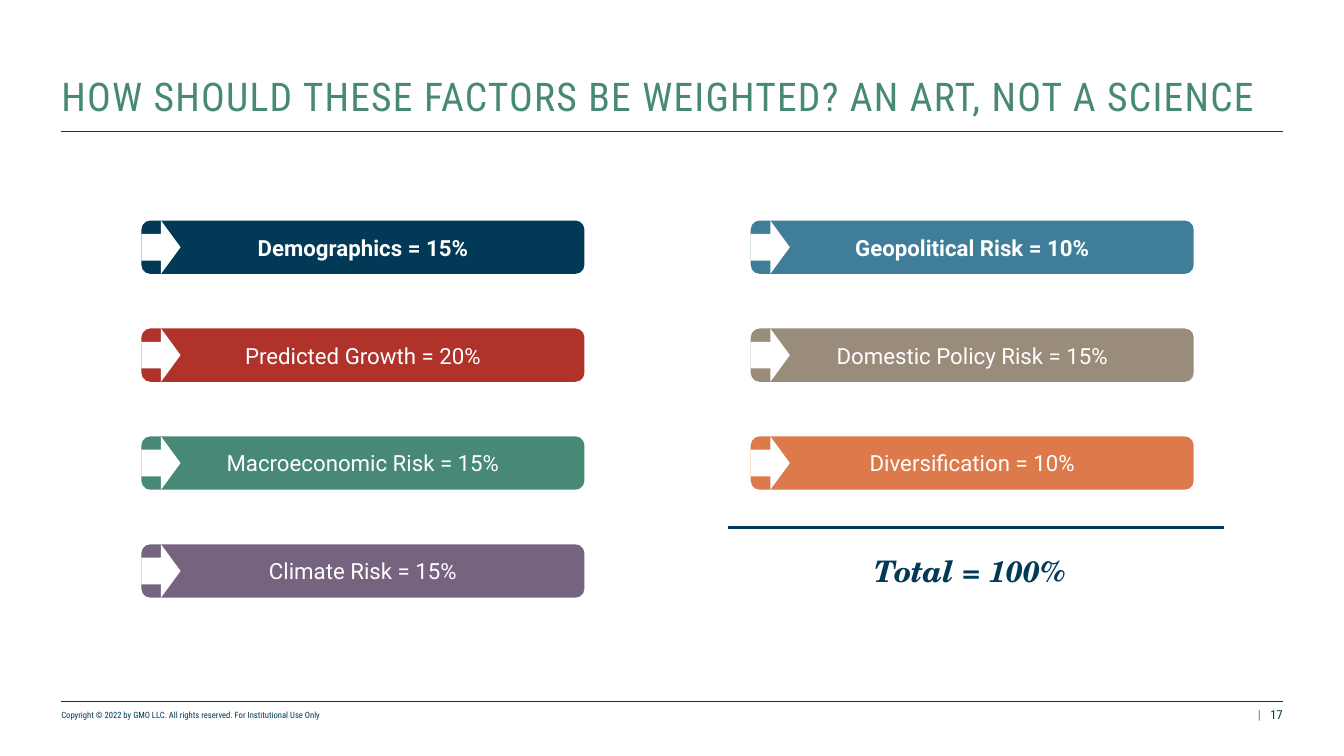
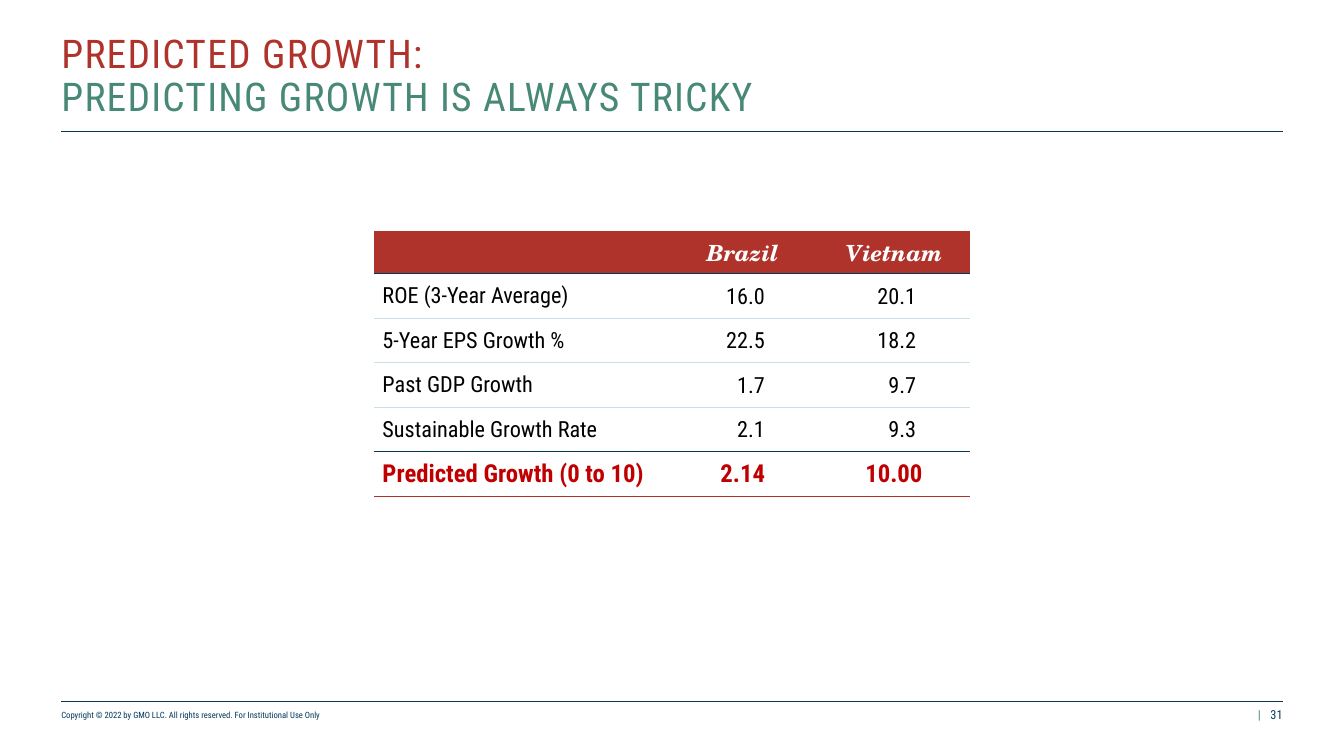
from dataclasses import dataclass

from lxml import etree
from pptx import Presentation
from pptx import util as u
from pptx.dml.color import RGBColor
from pptx.enum import shapes, text
from pptx.oxml import ns


@dataclass(frozen=True)
class Theme:
    navy: str = "013957"
    red: str = "AF332B"
    green: str = "478976"
    purple: str = "76637F"
    blue: str = "407D98"
    taupe: str = "9A8C7B"
    orange: str = "DC7A4B"
    white: str = "FFFFFF"
    black: str = "000000"
    pale: str = "C8DEE8"
    strong: str = "C00000"
    condensed: str = "Roboto Condensed"
    sans: str = "Roboto"
    serif: str = "TeX Gyre Schola"
    title: int = 32
    total: int = 24
    result: int = 20
    body: int = 18
    page: int = 10
    legal: int = 7


THEME = Theme()
WIDTH, HEIGHT = 15.11, 8.5
LEFT, RIGHT = 0.69, 14.42
ALIGN, ANCHOR = text.PP_ALIGN, text.MSO_ANCHOR

# Content
COPYRIGHT = "Copyright © 2022 by GMO LLC. All rights reserved. For Institutional Use Only"

WEIGHTS_TITLE = [("HOW SHOULD THESE FACTORS BE WEIGHTED? AN ART, NOT A SCIENCE", THEME.green)]
FACTOR_COLUMNS = [
    [
        ("Demographics = 15%", THEME.navy),
        ("Predicted Growth = 20%", THEME.red),
        ("Macroeconomic Risk = 15%", THEME.green),
        ("Climate Risk = 15%", THEME.purple),
    ],
    [
        ("Geopolitical Risk = 10%", THEME.blue),
        ("Domestic Policy Risk = 15%", THEME.taupe),
        ("Diversification = 10%", THEME.orange),
    ],
]
TOTAL = "Total = 100%"

GROWTH_TITLE = [
    ("PREDICTED GROWTH:", THEME.red),
    ("PREDICTING GROWTH IS ALWAYS TRICKY", THEME.green),
]
GROWTH_ROWS = [
    ("", "Brazil", "Vietnam"),
    ("ROE (3-Year Average)", "16.0", "20.1"),
    ("5-Year EPS Growth %", "22.5", "18.2"),
    ("Past GDP Growth", "1.7", "9.7"),
    ("Sustainable Growth Rate", "2.1", "9.3"),
    ("Predicted Growth (0 to 10)", "2.14", "10.00"),
]


# Shared helpers
def box(*lengths):
    return [u.Inches(length) for length in lengths]


def style(font, name, size, color, bold=False, italic=False):
    font.name, font.size = name, u.Pt(size)
    font.color.rgb = RGBColor.from_string(color)
    font.bold, font.italic = bold, italic


def set_margins(target, left, top, right, bottom):
    target.margin_left, target.margin_top, target.margin_right, target.margin_bottom = box(
        left, top, right, bottom)


def add_label(slide, place, words, size, color, align=ALIGN.LEFT):
    frame = slide.shapes.add_textbox(*box(*place)).text_frame
    frame.word_wrap = True
    frame.vertical_anchor = ANCHOR.BOTTOM
    set_margins(frame, 0, 0, 0, 0)
    paragraph = frame.paragraphs[0]
    paragraph.text, paragraph.alignment = words, align
    style(paragraph.font, THEME.condensed, size, color)


def add_rule(slide, left, right, top, points):
    line = slide.shapes.add_connector(
        shapes.MSO_CONNECTOR.STRAIGHT, *box(left, top, right, top))
    line.line.color.rgb = RGBColor.from_string(THEME.navy)
    line.line.width = u.Pt(points)
    etree.SubElement(line._element.spPr, ns.qn("a:effectLst"))


def add_solid(container, preset, place, color):
    shape = container.shapes.add_shape(preset, *box(*place))
    shape.shadow.inherit = False
    shape.fill.solid()
    shape.fill.fore_color.rgb = RGBColor.from_string(color)
    shape.line.fill.background()
    return shape


def add_slide(presentation, title_lines, page):
    slide = presentation.slides.add_slide(presentation.slide_layouts[5])

    # Title
    title = slide.shapes.title
    title.left, title.top, title.width, title.height = box(LEFT, 0.5, RIGHT - LEFT, 0.85)
    frame = title.text_frame
    frame.auto_size, frame.word_wrap = text.MSO_AUTO_SIZE.NONE, True
    frame.vertical_anchor = ANCHOR.BOTTOM
    set_margins(frame, 0, 0, 0, 0)
    paragraph = frame.paragraphs[0]
    paragraph.alignment, paragraph.line_spacing = ALIGN.LEFT, 0.9
    style(paragraph.font, THEME.condensed, THEME.title, THEME.green)
    for index, (words, color) in enumerate(title_lines):
        if index:
            paragraph.add_line_break()
        run = paragraph.add_run()
        run.text = words
        style(run.font, THEME.condensed, THEME.title, color)
        run.font._element.set("spc", "100")

    # Rules and footer
    add_rule(slide, LEFT, RIGHT, 1.48, 1)
    add_rule(slide, LEFT, RIGHT, 7.88, 0.5)
    add_label(slide, (LEFT, 7.95, 7.1, 0.15), COPYRIGHT, THEME.legal, THEME.navy)
    add_label(slide, (14.11, 7.95, 0.1, 0.17), "|", THEME.page, THEME.green, ALIGN.CENTER)
    add_label(slide, (RIGHT - 3.4, 7.95, 3.4, 0.17), str(page), THEME.page, THEME.navy,
              ALIGN.RIGHT)
    return slide


# Factor weights
def add_factor(slide, left, top, words, color, bold):
    group = slide.shapes.add_group_shape()
    bar = add_solid(group, shapes.MSO_SHAPE.ROUNDED_RECTANGLE, (left, top, 4.98, 0.6), color)
    bar.text_frame.vertical_anchor = ANCHOR.MIDDLE
    paragraph = bar.text_frame.paragraphs[0]
    paragraph.text, paragraph.alignment = words, ALIGN.CENTER
    style(paragraph.font, THEME.sans, THEME.body, THEME.white, bold)
    add_solid(group, shapes.MSO_SHAPE.RIGHT_ARROW, (left, top, 0.44, 0.6), THEME.white)


def build_weights(presentation):
    slide = add_slide(presentation, WEIGHTS_TITLE, 17)
    first_top, last_top = 2.48, 6.12
    pitch = (last_top - first_top) / (len(FACTOR_COLUMNS[0]) - 1)
    for left, factors in zip((1.59, 8.44), FACTOR_COLUMNS):
        for row, (words, color) in enumerate(factors):
            add_factor(slide, left, first_top + row * pitch, words, color, bold=row == 0)

    add_rule(slide, 8.18, 13.76, 5.93, 3)
    frame = slide.shapes.add_textbox(*box(9.73, 6.17, 2.47, 0.5)).text_frame
    frame.word_wrap = False
    paragraph = frame.paragraphs[0]
    paragraph.text, paragraph.alignment = TOTAL, ALIGN.LEFT
    style(paragraph.font, THEME.serif, THEME.total, THEME.navy, bold=True, italic=True)


# Growth table
def add_border(cell, side, color):
    properties = cell._tc.get_or_add_tcPr()
    line = etree.SubElement(properties, ns.qn(f"a:{side}"), w=str(u.Pt(1)))
    fill = etree.SubElement(line, ns.qn("a:solidFill"))
    etree.SubElement(fill, ns.qn("a:srgbClr"), val=color)


def format_cell(cell, row, column, last):
    paragraph = cell.text_frame.paragraphs[0]
    cell.vertical_anchor = ANCHOR.MIDDLE
    paragraph.alignment = ALIGN.CENTER if column else ALIGN.LEFT
    if row == 0:
        cell.vertical_anchor = ANCHOR.BOTTOM
        style(paragraph.font, THEME.serif, THEME.body, THEME.white, bold=True, italic=True)
    elif row == last:
        style(paragraph.font, THEME.condensed, THEME.result, THEME.strong, bold=True)
    else:
        style(paragraph.font, THEME.condensed, THEME.body, THEME.black)
        if column:
            paragraph.alignment = ALIGN.RIGHT
    if row and column:
        set_margins(cell, 0.01, 0.01, 0.01 if row == last else 0.6, 0)


def build_growth(presentation):
    slide = add_slide(presentation, GROWTH_TITLE, 31)
    widths, row_height = (3.3, 1.7, 1.7), 0.5
    last = len(GROWTH_ROWS) - 1
    frame = slide.shapes.add_table(
        len(GROWTH_ROWS), len(widths),
        *box(4.2, 2.6, sum(widths), row_height * len(GROWTH_ROWS)))
    table = frame.table
    table.first_row = table.horz_banding = False
    table._tbl.tblPr.find(ns.qn("a:tableStyleId")).text = "{2D5ABB26-0587-4C30-8999-92F81FD0307C}"
    for column, width in zip(table.columns, widths):
        column.width = u.Inches(width)

    # Colour of the rule under each row
    rules = [THEME.pale] * len(GROWTH_ROWS)
    rules[0] = rules[last - 1] = THEME.navy
    rules[last] = THEME.red

    for row, values in enumerate(GROWTH_ROWS):
        table.rows[row].height = u.Inches(row_height if row else 0.48)
        for column, value in enumerate(values):
            cell = table.cell(row, column)
            cell.text = value
            format_cell(cell, row, column, last)
            if row:
                add_border(cell, "lnT", rules[row - 1])
            add_border(cell, "lnB", rules[row])
            if row:
                cell.fill.background()
            else:
                cell.fill.solid()
                cell.fill.fore_color.rgb = RGBColor.from_string(THEME.red)


def main():
    presentation = Presentation()
    presentation.slide_width, presentation.slide_height = box(WIDTH, HEIGHT)
    build_weights(presentation)
    build_growth(presentation)
    presentation.save("out.pptx")


if __name__ == "__main__":
    main()
